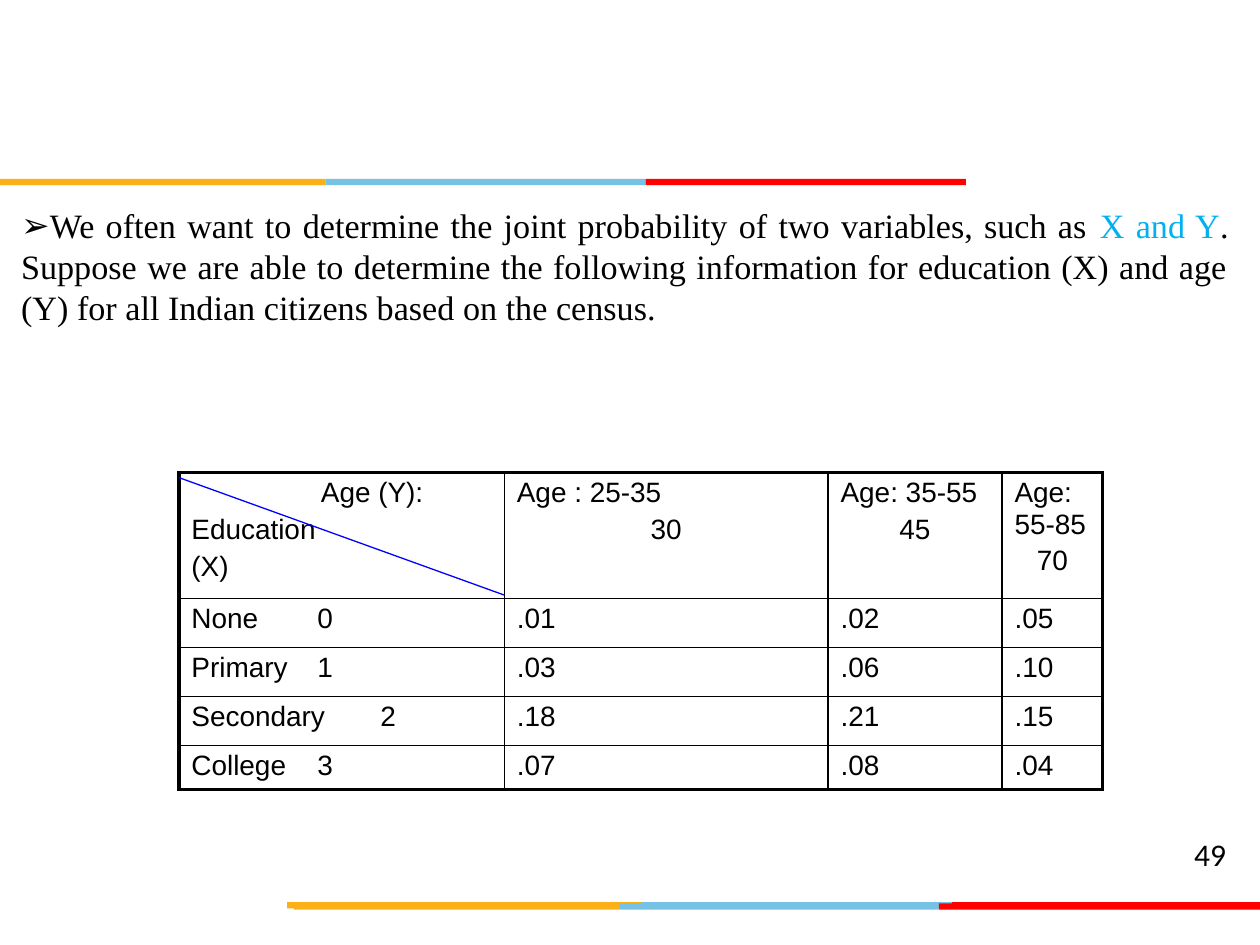
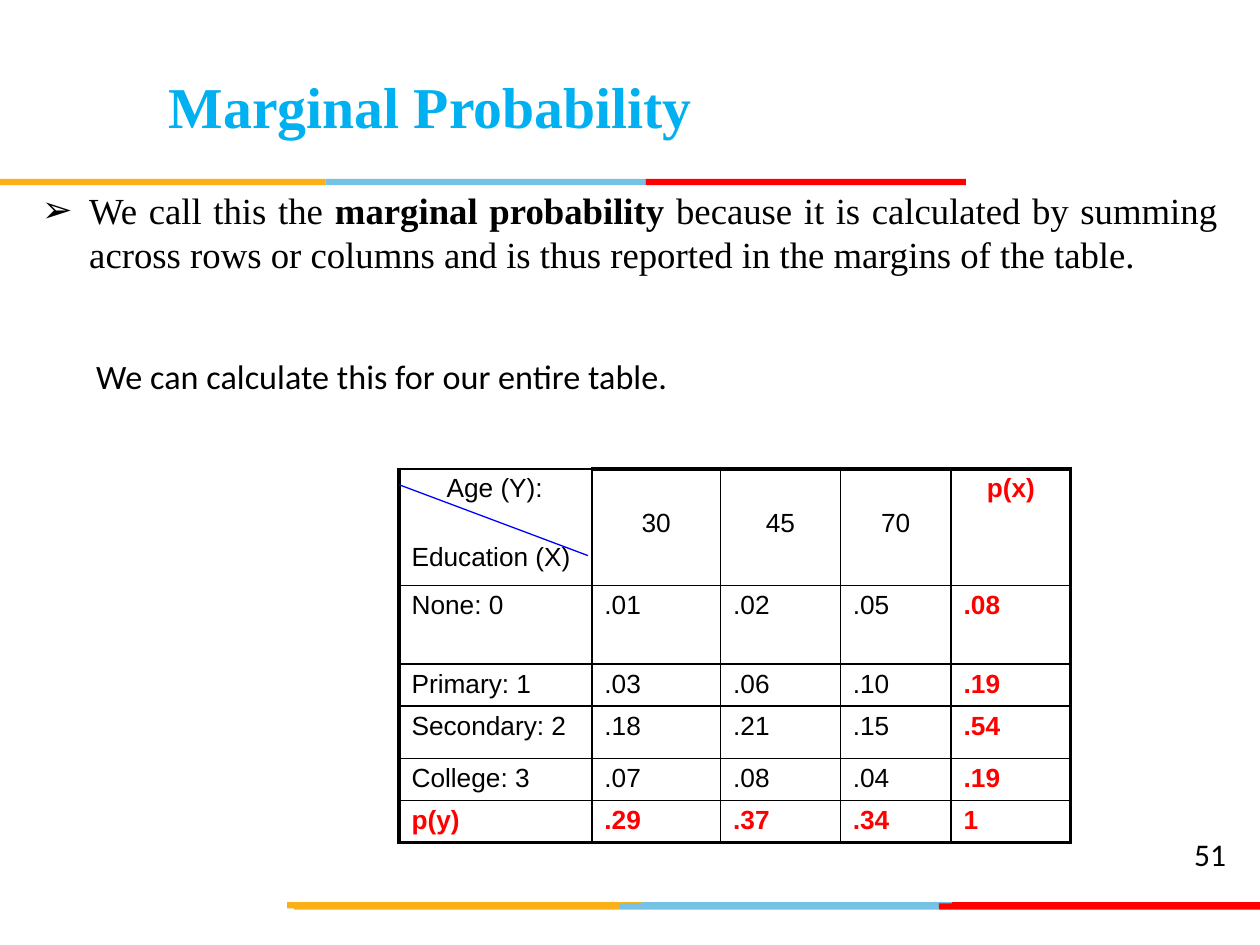
from itertools import pairwise

from lxml.etree import SubElement
from pptx import Presentation
from pptx.dml.color import RGBColor
from pptx.enum.shapes import MSO_CONNECTOR as CONN, MSO_SHAPE as SHAPE
from pptx.enum.text import MSO_ANCHOR as ANCHOR, PP_ALIGN as ALIGN
from pptx.oxml.ns import qn
from pptx.util import Pt

BLACK, RED, CYAN, BLUE = "000000", "FF0000", "00B0F0", "0000FF"
YELLOW, SKY = "FCB017", "76C2E5"
SERIF, SANS, TABLE_FONT = "Times New Roman", "Calibri", "Arial"

# top and the edges of the yellow, sky and red parts
BANDS = [
    (515.5, (164, 367, 544, 720)),
    (516.2, (168, 354, 536.5, 720)),
    (102.2, (0, 186, 369, 552)),
]

# each paragraph: paragraph format, then runs of (text, font format)
JOINT = [
    (dict(align=ALIGN.JUSTIFY, bullet="➢"), [
        ("We often want to determine the joint probability of two variables, such as ", {}),
        ("X and Y", dict(color=CYAN)),
        (". Suppose we are able to determine the following information for education (X) "
         "and age (Y) for all Indian citizens based on the census.", {}),
    ]),
]
MARGINAL = [
    (dict(align=ALIGN.JUSTIFY, bullet="➢", left=27, hang=27), [
        ("We call this the ", {}),
        ("marginal probability", dict(bold=True)),
        (" because it is calculated by summing across rows or columns and is thus "
         "reported in the margins of the table.", {}),
    ]),
    (dict(align=ALIGN.JUSTIFY, left=31, before=45), [
        ("We can calculate this for our entire table.", dict(size=19.5, name=SANS)),
    ]),
]
TITLE = [(dict(align=ALIGN.CENTER), [("Marginal Probability", {})])]

JOINT_TABLE = dict(
    left=102.2, top=270, size=16, corner_indent=74, corner_gap=3.2, header_drop=0, totals=False,
    widths=(186, 185, 99.4, 57.6), heights=(72, 28, 28, 28, 22.3),
    rows=[
        ("Age (Y):\nEducation\n(X)", "Age : 25-35\n30", "Age: 35-55\n45", "Age: 55-85\n70"),
        ("None\t0", ".01", ".02", ".05"),
        ("Primary\t1", ".03", ".06", ".10"),
        ("Secondary\t2", ".18", ".21", ".15"),
        ("College\t3", ".07", ".08", ".04"),
    ],
    diagonal=(288, 340, 102.2, 272.9),
)
MARGINAL_TABLE = dict(
    left=228, top=268, size=15, corner_indent=20, corner_gap=22.5, header_drop=20, totals=True,
    widths=(110.2, 73.6, 68.4, 63.3, 68.4), heights=(66.7, 44.9, 23.6, 30, 23.6, 23.6),
    rows=[
        ("Age (Y):\nEducation (X)", "30", "45", "70", "p(x)"),
        ("None: 0", ".01", ".02", ".05", ".08"),
        ("Primary: 1", ".03", ".06", ".10", ".19"),
        ("Secondary: 2", ".18", ".21", ".15", ".54"),
        ("College: 3", ".07", ".08", ".04", ".19"),
        ("p(y)", ".29", ".37", ".34", "1"),
    ],
    diagonal=(336, 317.5, 228, 277),
)
CODE_TAB = 114


def rgb(color):
    return RGBColor.from_string(color)


def format_run(r, color=BLACK, size=18, **values):
    r.font.size = Pt(size)
    r.font.color.rgb = rgb(color)
    for name, value in values.items():
        setattr(r.font, name, value)


def format_paragraph(p, align=ALIGN.LEFT, left=0, hang=0, before=0, bullet=None, tab=None):
    pPr = p._p.get_or_add_pPr()
    pPr.set("marL", str(Pt(left)))
    pPr.set("indent", str(Pt(-hang)))
    if bullet:
        SubElement(pPr, qn("a:buFont"), typeface="Arial")
        SubElement(pPr, qn("a:buChar"), char=bullet)
    else:
        SubElement(pPr, qn("a:buNone"))
    if tab:
        tabs = SubElement(pPr, qn("a:tabLst"))
        SubElement(tabs, qn("a:tab"), pos=str(Pt(tab)), algn="l")
    p.alignment = align
    if before:
        p.space_before = Pt(before)


def write(tf, paragraphs, **font):
    for i, (layout, runs) in enumerate(paragraphs):
        p = tf.add_paragraph() if i else tf.paragraphs[0]
        format_paragraph(p, **layout)
        for text, changes in runs:
            r = p.add_run()
            r.text = text
            format_run(r, **{**font, **changes})


def set_margins(target, x, y):
    for side, value in dict(left=x, right=x, top=y, bottom=y).items():
        setattr(target, f"margin_{side}", Pt(value))


def add_text(s, box, paragraphs, inset=(6, 3), anchor=ANCHOR.TOP, **font):
    tf = s.shapes.add_textbox(*map(Pt, box)).text_frame
    tf.word_wrap = True
    tf.vertical_anchor = anchor
    set_margins(tf, *inset)
    write(tf, paragraphs, **font)


def add_bands(s):
    for top, edges in BANDS:
        for color, (x1, x2) in zip((YELLOW, SKY, RED), pairwise(edges)):
            sp = s.shapes.add_shape(SHAPE.RECTANGLE, *map(Pt, (x1, top, x2 - x1, 3.6)))
            sp.shadow.inherit = False
            sp.fill.solid()
            sp.fill.fore_color.rgb = rgb(color)
            sp.line.fill.background()


def set_borders(cell, widths):
    """Border widths come in the order left, right, top, bottom."""
    tcPr = cell._tc.get_or_add_tcPr()
    for side, width in zip("LRTB", widths):
        ln = SubElement(tcPr, qn(f"a:ln{side}"), w=str(Pt(width)))
        SubElement(SubElement(ln, qn("a:solidFill")), qn("a:srgbClr"), val=BLACK)


def cell_paragraphs(text, row, col, table):
    lines = text.split("\n")
    paragraphs = []
    for i, line in enumerate(lines):
        layout = dict(before=3.2 if i else 0)
        if row == 0 and col == 0:
            layout = dict(before=table["corner_gap"]) if i else dict(left=table["corner_indent"])
        elif row == 0 and i == len(lines) - 1:
            layout["align"] = ALIGN.CENTER
        if "\t" in line:
            layout["tab"] = CODE_TAB
        paragraphs.append((layout, [(line, {})]))
    return paragraphs


def add_probability_table(s, table):
    rows, widths, heights = table["rows"], table["widths"], table["heights"]
    last_row, last_col = len(rows) - 1, len(widths) - 1
    frame = s.shapes.add_table(len(rows), len(widths), Pt(table["left"]), Pt(table["top"]),
                               Pt(sum(widths)), Pt(sum(heights)))
    tbl = frame.table
    tbl.first_row = tbl.horz_banding = False
    for column, width in zip(tbl.columns, widths):
        column.width = Pt(width)
    for row, height in zip(tbl.rows, heights):
        row.height = Pt(height)
    for i, values in enumerate(rows):
        for j, text in enumerate(values):
            cell = tbl.cell(i, j)
            total = table["totals"] and (i == last_row or j == last_col)
            set_margins(cell, 7.2, 3)
            if i == 0 and j and not total:
                cell.margin_top = Pt(3 + table["header_drop"])
            write(cell.text_frame, cell_paragraphs(text, i, j, table), size=table["size"],
                  name=TABLE_FONT, bold=total, color=RED if total else BLACK)
            thin_corner = table["totals"] and i == j == 0
            outer = (j == 0, j == last_col, i == 0 and not thin_corner, i == last_row)
            set_borders(cell, [2.25 if edge else 1 for edge in outer])
            cell.fill.background()
    line = s.shapes.add_connector(CONN.STRAIGHT, *map(Pt, table["diagonal"]))
    line.line.color.rgb = rgb(BLUE)
    line.line.width = Pt(0.75)
    SubElement(line._element.spPr, qn("a:effectLst"))


def add_slide(prs, number, body_box, body, body_size, table, title=None):
    s = prs.slides.add_slide(prs.slide_layouts[6])
    add_bands(s)
    if title:
        add_text(s, (36, 30, 420, 60), title, anchor=ANCHOR.MIDDLE,
                 size=33, name=SERIF, color=CYAN, bold=True)
    add_text(s, body_box, body, size=body_size, name=SERIF)
    add_probability_table(s, table)
    add_text(s, (661.7, 473.8, 46, 29), [(dict(align=ALIGN.RIGHT), [(number, {})])],
             inset=(7.2, 3.6), size=18, name=SANS)


def main():
    prs = Presentation()
    prs.slide_width, prs.slide_height = Pt(720), Pt(540)
    add_slide(prs, "49", (6, 114, 702, 77), JOINT, 19.5, JOINT_TABLE)
    add_slide(prs, "51", (18, 104.4, 684, 127.5), MARGINAL, 21, MARGINAL_TABLE, TITLE)
    prs.save("out.pptx")


if __name__ == "__main__":
    main()
